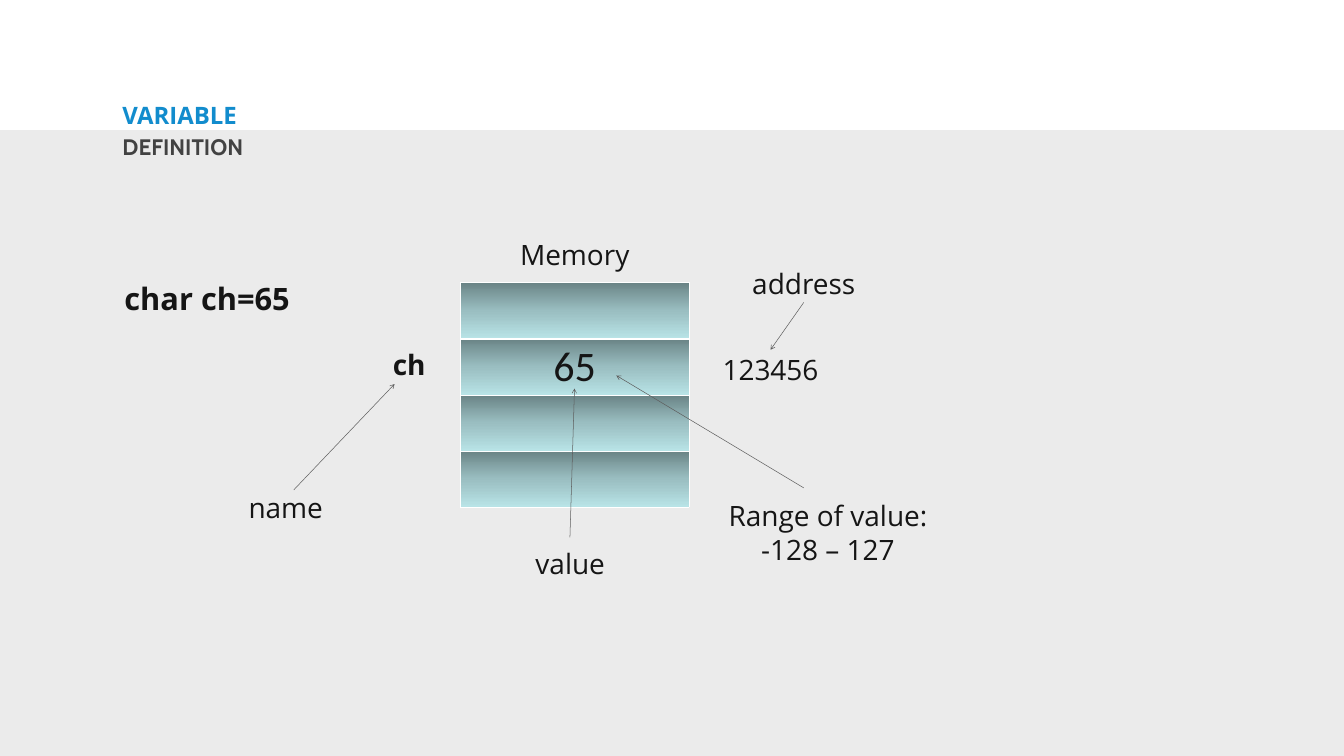
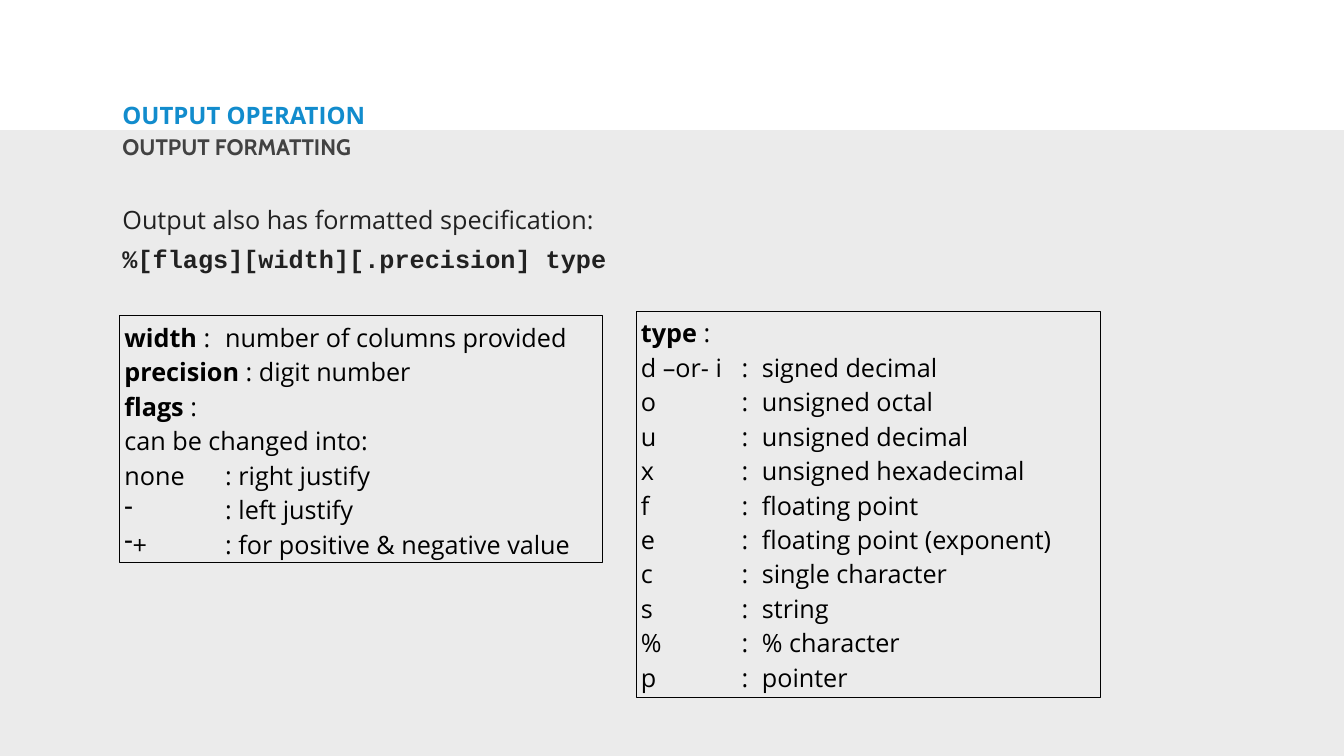
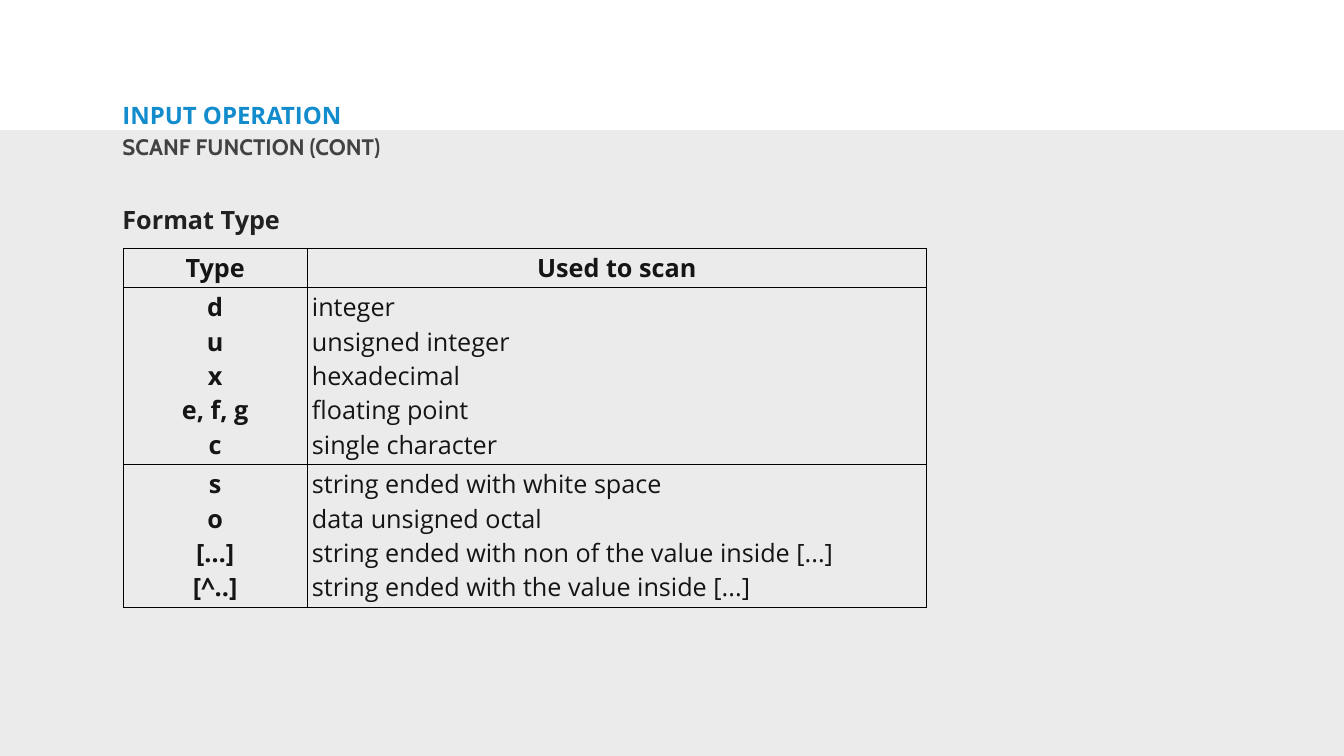
from pptx import Presentation
from pptx.dml.color import RGBColor
from pptx.enum.shapes import MSO_CONNECTOR, MSO_SHAPE
from pptx.enum.text import MSO_ANCHOR, MSO_AUTO_SIZE, PP_ALIGN
from pptx.oxml import parse_xml
from pptx.oxml.ns import nsdecls
from pptx.util import Emu, Pt

# Shared look: 100 px to the inch
SCALE = 9144
WIDTH, HEIGHT = 2667, 1500
BAND_TOP = 258
LEFT = 237
INK, BODY, BLACK, WHITE = "151515", "212121", "000000", "FFFFFF"
TITLE_BLUE, SUBTITLE_GRAY, BAND_GRAY, ARROW_GRAY = "128CCD", "424242", "EBEBEB", "5E5E5E"
MEMORY_STOPS = ((0, "6A8486"), (50, "9ABEC1"), (100, "B8E3E6"))
SANS = "Open Sans"
TAB_STOPS = (200, 240)
NARROW = 6


def px(length):
    return Emu(length * SCALE)


def color(value):
    return RGBColor.from_string(value)


def style(font, size, ink, bold=False, name=SANS):
    font.name, font.size, font.bold = name, Pt(size), bold
    font.color.rgb = color(ink)


def set_frame(frame, inset=None, grow=False, anchor=MSO_ANCHOR.TOP):
    frame.word_wrap = True
    frame.vertical_anchor = anchor
    frame.auto_size = MSO_AUTO_SIZE.SHAPE_TO_FIT_TEXT if grow else MSO_AUTO_SIZE.NONE
    if inset:
        frame.margin_left = frame.margin_right = px(inset)
        frame.margin_top = frame.margin_bottom = px(inset)


def write(frame, lines, size, ink, bold=False, name=SANS, align=PP_ALIGN.LEFT):
    """Write one paragraph per line, all in one style."""
    frame.text = "\n".join(lines)
    for para in frame.paragraphs:
        para.alignment = align
        for span in para.runs:
            style(span.font, size, ink, bold, name)


def add_text(page, text, place, size, ink, bold=False, name=SANS,
             align=PP_ALIGN.LEFT, inset=None, grow=False):
    box = page.shapes.add_textbox(*map(px, place))
    set_frame(box.text_frame, inset, grow)
    write(box.text_frame, [text], size, ink, bold, name, align)
    return box


def add_label(page, text, place, bold=False):
    return add_text(page, text, place, 40, INK, bold, align=PP_ALIGN.CENTER, grow=True)


def add_band(deck, page, layout):
    """Draw the gray band and hand it to the layout, behind everything."""
    band = page.shapes.add_shape(MSO_SHAPE.RECTANGLE, 0, px(BAND_TOP),
                                 px(WIDTH), px(HEIGHT - BAND_TOP))
    band.shadow.inherit = False
    band.fill.solid()
    band.fill.fore_color.rgb = color(BAND_GRAY)
    band.line.fill.background()
    layout.shapes._spTree.insert(2, band._element)


def add_page(deck, layout, title, subtitle):
    page = deck.slides.add_slide(layout)
    heading = page.shapes.title
    heading.left, heading.top, heading.width, heading.height = map(px, (LEFT, 205, 1609, 56))
    set_frame(heading.text_frame, NARROW, anchor=MSO_ANCHOR.MIDDLE)
    write(heading.text_frame, [title], 34.2, TITLE_BLUE, True)
    heading.text_frame.paragraphs[0].line_spacing = 0.8
    box = add_text(page, subtitle, (LEFT, 265, 1068, 88), 32, SUBTITLE_GRAY, True,
                   "Cabin", inset=NARROW)
    box.text_frame.paragraphs[0].line_spacing = 0.9
    return page


def add_arrow(page, start, end):
    arrow = page.shapes.add_connector(MSO_CONNECTOR.STRAIGHT, *map(px, start + end))
    arrow.line.color.rgb = color(ARROW_GRAY)
    arrow.line.width = Pt(0.75)
    arrow.line._get_or_add_ln().append(parse_xml(f'<a:tailEnd {nsdecls("a")} type="arrow"/>'))
    arrow._element.spPr.append(parse_xml(f'<a:effectLst {nsdecls("a")}/>'))
    return arrow


def add_tabs(para, bullet=None):
    props = para._p.get_or_add_pPr()
    if bullet:
        props.set("marL", "0")
        props.set("indent", "0")
        props.append(parse_xml(f'<a:buChar {nsdecls("a")} char="{bullet}"/>'))
    stops = "".join(f'<a:tab pos="{px(stop)}" algn="l"/>' for stop in TAB_STOPS)
    props.append(parse_xml(f'<a:tabLst {nsdecls("a")}>{stops}</a:tabLst>'))


def add_list_box(page, place, lines):
    """Outlined box; each line is (bold term, plain text, bullet)."""
    box = page.shapes.add_shape(MSO_SHAPE.RECTANGLE, *map(px, place))
    box.shadow.inherit = False
    box.fill.background()
    box.line.color.rgb = color(BLACK)
    box.line.width = Pt(0.75)
    frame = box.text_frame
    set_frame(frame, grow=True)
    for number, (term, text, bullet) in enumerate(lines):
        para = frame.add_paragraph() if number else frame.paragraphs[0]
        para.alignment = PP_ALIGN.LEFT
        para.line_spacing = Pt(49.2)
        add_tabs(para, bullet)
        for words, bold in ((term, True), (text, False)):
            if words:
                span = para.add_run()
                span.text = words
                style(span.font, 36, BLACK, bold)


def add_grid(page, left, top, widths, heights):
    frame = page.shapes.add_table(len(heights), len(widths), px(left), px(top),
                                  px(sum(widths)), px(sum(heights)))
    table = frame.table
    table.first_row = table.horz_banding = False
    for column, width in zip(table.columns, widths):
        column.width = px(width)
    for row, height in zip(table.rows, heights):
        row.height = px(height)
    return table


def set_borders(cell, ink, **widths):
    """Border all four sides, 1 pt unless a side is given its own width."""
    props = cell._tc.get_or_add_tcPr()
    for side in "LRTB":
        props.append(parse_xml(
            f'<a:ln{side} {nsdecls("a")} w="{Pt(widths.get(side, 1))}"><a:solidFill>'
            f'<a:srgbClr val="{ink}"/></a:solidFill></a:ln{side}>'))


def set_gradient(cell, stops):
    marks = "".join(f'<a:gs pos="{place * 1000}"><a:srgbClr val="{ink}"/></a:gs>'
                    for place, ink in stops)
    cell._tc.get_or_add_tcPr().append(parse_xml(
        f'<a:gradFill {nsdecls("a")}><a:gsLst>{marks}</a:gsLst>'
        '<a:lin ang="5400000" scaled="0"/></a:gradFill>'))


def build_variable(page):
    # Memory cells
    memory = add_grid(page, 914, 561, [453], [111] * 4)
    thick_sides = {0: {"B": 3}, 1: {"T": 3}}
    for number in range(4):
        cell = memory.cell(number, 0)
        set_borders(cell, WHITE, **thick_sides.get(number, {}))
        set_gradient(cell, MEMORY_STOPS)
    write(memory.cell(1, 0).text_frame, ["65"], 60, INK, name="Calibri",
          align=PP_ALIGN.CENTER)

    # Labels
    add_label(page, "Memory", (914, 466, 453, 77))
    number_label = add_label(page, "123456", (1404, 694, 250, 77))
    address_label = add_label(page, "address", (1470, 523, 250, 77))
    add_label(page, "ch", (735, 684, 154, 77), bold=True)
    add_label(page, "name", (426, 969, 282, 77))
    add_label(page, "value", (978, 1079, 307, 77))
    add_label(page, "Range of value: -128 – 127", (1422, 985, 442, 145))

    # Arrows
    address_arrow = add_arrow(page, (1595, 600), (1529, 694))
    address_arrow.begin_connect(address_label, 2)
    address_arrow.end_connect(number_label, 0)
    add_arrow(page, (583, 972), (783, 762))
    add_arrow(page, (1131, 1066), (1140, 771))
    add_arrow(page, (1595, 968), (1223, 745))

    add_text(page, "char ch=65", (LEFT, 551, 531, 84), 44, INK, True, grow=True)


def build_output(page):
    # Format specification
    box = add_text(page, "Output also has formatted specification:",
                   (LEFT, 400, 2193, 331), 36, BODY, inset=NARROW)
    pattern = box.text_frame.add_paragraph()
    pattern.text = "%[flags][width][.precision] type"
    pattern.space_before = Pt(12)
    style(pattern.runs[0].font, 36, BODY, True, "Courier New")

    # Parts of the specification
    add_list_box(page, (LEFT, 626, 959, 489), [
        ("width", " :\tnumber of columns provided", None),
        ("precision", " : digit number", None),
        ("flags", " :", None),
        ("", "can be changed into:", None),
        ("", "none\t: right justify", None),
        ("", "\t: left justify", "-"),
        ("", "+\t: for positive & negative value", "-"),
    ])
    types = [
        ("d –or- i", "signed decimal"), ("o", "unsigned octal"),
        ("u", "unsigned decimal"), ("x", "unsigned hexadecimal"),
        ("f", "floating point"), ("e", "floating point (exponent)"),
        ("c", "single character"), ("s", "string"),
        ("%", "% character"), ("p", "pointer"),
    ]
    add_list_box(page, (1262, 617, 921, 766), [("type", " :", None)] + [
        ("", f"{letter}\t:\t{meaning}", None) for letter, meaning in types])


def build_input(page):
    add_text(page, "Format Type", (LEFT, 400, 2193, 88), 36, BODY, True, inset=NARROW)
    rows = [
        (["Type"], ["Used to scan"]),
        (["d", "u", "x", "e, f, g", "c"],
         ["integer", "unsigned integer", "hexadecimal", "floating point",
          "single character"]),
        (["s", "o", "[…]", "[^..]"],
         ["string ended with white space", "data unsigned octal",
          "string ended with non of the value inside [...]",
          "string ended with the value inside [...]"]),
    ]
    table = add_grid(page, 245, 492, [364, 1230], [78, 351, 284])
    for row, texts in enumerate(rows):
        for column, lines in enumerate(texts):
            cell = table.cell(row, column)
            is_heading = row == 0 or column == 0
            write(cell.text_frame, lines, 36, INK, is_heading,
                  align=PP_ALIGN.CENTER if is_heading else PP_ALIGN.LEFT)
            set_borders(cell, BLACK)
            cell.fill.background()


def main():
    deck = Presentation()
    deck.slide_width, deck.slide_height = px(WIDTH), px(HEIGHT)
    layout = deck.slide_layouts[5]

    page = add_page(deck, layout, "VARIABLE", "DEFINITION")
    add_band(deck, page, layout)
    build_variable(page)
    build_output(add_page(deck, layout, "OUTPUT OPERATION", "OUTPUT FORMATTING"))
    build_input(add_page(deck, layout, "INPUT OPERATION", "SCANF FUNCTION (CONT)"))

    deck.save("out.pptx")


if __name__ == "__main__":
    main()
